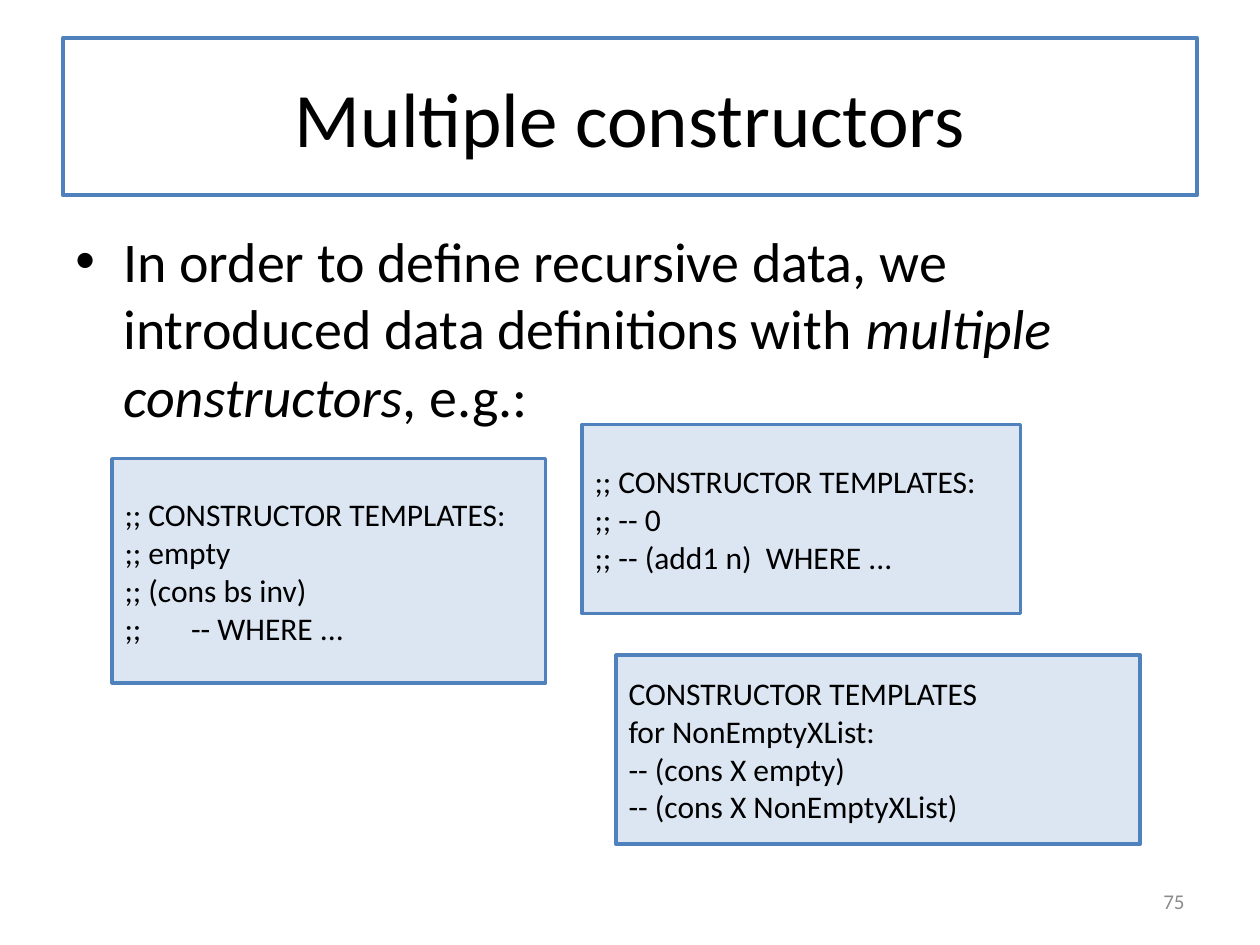
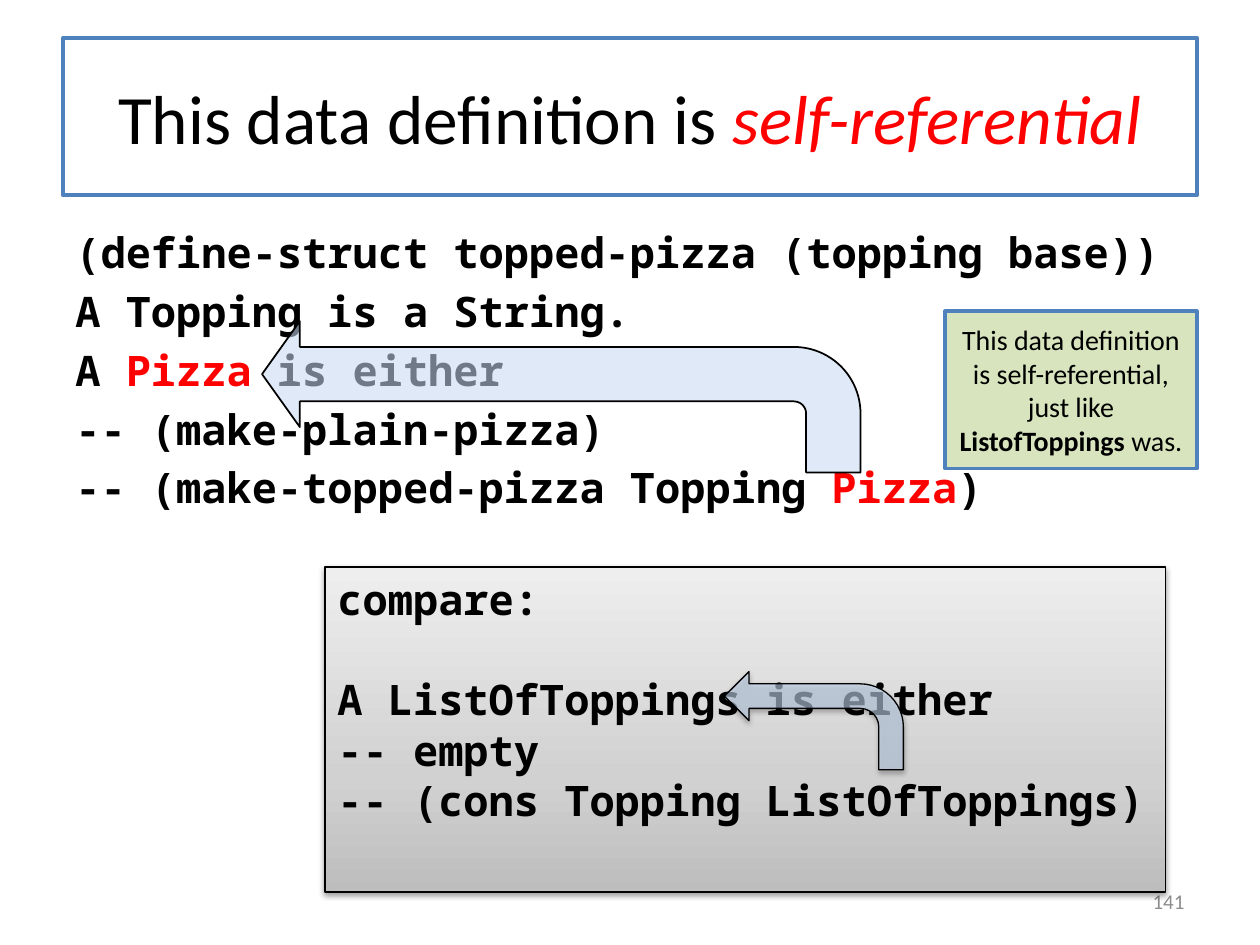
from dataclasses import dataclass
from typing import NamedTuple

from lxml import etree
from pptx import Presentation
from pptx.dml.color import RGBColor
from pptx.enum.shapes import MSO_SHAPE
from pptx.enum.text import MSO_ANCHOR, MSO_AUTO_SIZE, PP_ALIGN
from pptx.oxml.ns import qn
from pptx.util import Inches, Pt

LEFT, CENTER, RIGHT = PP_ALIGN.LEFT, PP_ALIGN.CENTER, PP_ALIGN.RIGHT
TOP, MIDDLE = MSO_ANCHOR.TOP, MSO_ANCHOR.MIDDLE
RECT, BENT_ARROW = MSO_SHAPE.RECTANGLE, MSO_SHAPE.BENT_ARROW
NO_AUTOFIT = MSO_AUTO_SIZE.NONE
TITLE_ONLY = 5


@dataclass(frozen=True)
class Theme:
    sans: str = "Calibri"
    mono: str = "Noto Sans Mono"
    white: str = "FFFFFF"
    text: str = "000000"
    accent: str = "FF0000"
    border: str = "4F81BD"
    muted: str = "8C8C8C"
    panel: str = "DCE6F2"
    note: str = "D7E4BD"
    arrow: str = "C6D9F1"
    gradient: tuple = ((0, "BDBDBD"), (35, "D1D1D1"), (100, "EEEEEE"))
    title_size: float = 44
    long_title_size: float = 39.6
    body_size: float = 32
    code_size: float = 24
    panel_size: float = 18
    note_size: float = 16
    number_size: float = 12


THEME = Theme()


class Box(NamedTuple):
    left: float
    top: float
    width: float
    height: float

    def emu(self) -> tuple:
        return tuple(Inches(v) for v in self)


class Span(NamedTuple):
    text: str
    color: str = THEME.text
    italic: bool = False
    bold: bool = False


@dataclass(frozen=True)
class Style:
    size: float
    font: str = THEME.sans
    bold: bool = False
    align: PP_ALIGN = LEFT
    anchor: MSO_ANCHOR = MIDDLE
    hanging: float = 0
    bullet: str = ""
    gap: float = 0


class Panel(NamedTuple):
    box: Box
    lines: list
    fill: str
    style: Style


class Arrow(NamedTuple):
    box: Box
    adjustments: tuple
    opacity: int
    line_width: float


TITLE_BOX = Box(0.5, 0.3, 9, 1.25)
BODY_BOX = Box(0.5, 1.75, 9, 4.95)
NUMBER_BOX = Box(7.17, 6.95, 2.33, 0.4)

NUMBER = Style(THEME.number_size, align=RIGHT)
BULLET = Style(THEME.body_size, anchor=TOP, hanging=0.38, bullet="•")
CODE = Style(THEME.code_size, THEME.mono, bold=True, anchor=TOP, hanging=0.38,
             gap=0.2 * THEME.code_size)
COMPARE = Style(THEME.code_size, THEME.mono, bold=True, anchor=TOP)
PANEL = Style(THEME.panel_size)
NOTE = Style(THEME.note_size, align=CENTER)


def rgb(color: str) -> RGBColor:
    return RGBColor.from_string(color)


def sub(parent, tag: str, **attrs):
    return etree.SubElement(parent, qn(tag), {k: str(v) for k, v in attrs.items()})


def write(shape, lines: list, style: Style) -> None:
    """Fill a shape with lines, each a plain string or a list of spans."""
    tf = shape.text_frame
    tf.word_wrap = True
    tf.auto_size = NO_AUTOFIT
    tf.vertical_anchor = style.anchor
    for i, line in enumerate(lines):
        p = tf.paragraphs[0] if i == 0 else tf.add_paragraph()
        p.alignment = style.align
        if i and style.gap:
            p.space_before = Pt(style.gap)
        if style.hanging:
            pPr = p._p.get_or_add_pPr()
            pPr.set("marL", str(Inches(style.hanging)))
            pPr.set("indent", str(-Inches(style.hanging)))
            if style.bullet:
                sub(pPr, "a:buFont", typeface="Arial")
                sub(pPr, "a:buChar", char=style.bullet)
        for span in [Span(line)] if isinstance(line, str) else line:
            r = p.add_run()
            r.text = span.text
            r.font.name = style.font
            r.font.size = Pt(style.size)
            r.font.bold = style.bold or span.bold
            r.font.italic = span.italic
            r.font.color.rgb = rgb(span.color)


def paint(shape, fill: str, line: str, width: float) -> None:
    shape.fill.solid()
    shape.fill.fore_color.rgb = rgb(fill)
    outline(shape, line, width)


def outline(shape, line: str, width: float) -> None:
    shape.line.color.rgb = rgb(line)
    shape.line.width = Pt(width)


def paint_gradient(shape) -> None:
    shape.fill.gradient()
    shape.fill.gradient_angle = 90
    stops = shape._element.spPr.find(qn("a:gradFill")).find(qn("a:gsLst"))
    stops.clear()
    for position, color in THEME.gradient:
        sub(sub(stops, "a:gs", pos=position * 1000), "a:srgbClr", val=color)


def drop_shadow(shape) -> None:
    effects = shape._element.spPr.find(qn("a:effectLst"))
    shadow = sub(effects, "a:outerShdw", blurRad=Pt(3.1), dist=Pt(1.6),
                 dir=90 * 60000, rotWithShape=0)
    sub(sub(shadow, "a:srgbClr", val=THEME.text), "a:alpha", val=38000)


def add_flat_shape(shapes, kind: MSO_SHAPE, box: Box):
    shape = shapes.add_shape(kind, *box.emu())
    shape.shadow.inherit = False
    return shape


def add_panel(shapes, panel: Panel) -> None:
    shape = add_flat_shape(shapes, RECT, panel.box)
    paint(shape, panel.fill, THEME.border, 2)
    write(shape, panel.lines, panel.style)


def add_arrow(shapes, arrow: Arrow):
    """Draw a bent arrow that points left."""
    shape = add_flat_shape(shapes, BENT_ARROW, arrow.box)
    for i, value in enumerate(arrow.adjustments):
        shape.adjustments[i] = value
    shape._element.spPr.find(qn("a:xfrm")).set("flipH", "1")
    paint(shape, THEME.arrow, THEME.text, arrow.line_width)
    color = shape._element.spPr.find(qn("a:solidFill"))[0]
    sub(color, "a:alpha", val=arrow.opacity * 1000)
    return shape


def add_text(s, box: Box, lines: list, style: Style) -> None:
    write(s.shapes.add_textbox(*box.emu()), lines, style)


def add_slide(prs, title: list, title_size: float, body: list, body_style: Style,
              number: str):
    """Add a slide with its framed title, body text and slide number."""
    s = prs.slides.add_slide(prs.slide_layouts[TITLE_ONLY])
    heading = s.shapes.title
    heading.left, heading.top, heading.width, heading.height = TITLE_BOX.emu()
    paint(heading, THEME.white, THEME.border, 2.25)
    write(heading, [title], Style(title_size, align=CENTER))
    add_text(s, BODY_BOX, body, body_style)
    add_text(s, NUMBER_BOX, [number], NUMBER)
    for run in s.shapes[-1].text_frame.paragraphs[0].runs:
        run.font.color.rgb = rgb(THEME.muted)
    return s


def build_constructors(prs) -> None:
    body = [[Span("In order to define recursive data, we introduced data definitions with "),
             Span("multiple constructors", italic=True), Span(", e.g.:")]]
    s = add_slide(prs, [Span("Multiple constructors")], THEME.title_size,
                  body, BULLET, "75")
    templates = [
        (Box(0.89, 3.64, 3.44, 1.78),
         [";; CONSTRUCTOR TEMPLATES:", ";; empty", ";; (cons bs inv)",
          ";;       -- WHERE ..."]),
        (Box(4.62, 3.37, 3.48, 1.5),
         [";; CONSTRUCTOR TEMPLATES:", ";; -- 0", ";; -- (add1 n)  WHERE ..."]),
        (Box(4.89, 5.2, 4.16, 1.5),
         ["CONSTRUCTOR TEMPLATES", "for NonEmptyXList:", "-- (cons X empty)",
          "-- (cons X NonEmptyXList)"]),
    ]
    for box, lines in templates:
        add_panel(s.shapes, Panel(box, lines, THEME.panel, PANEL))


def add_comparison(s) -> None:
    shapes = s.shapes.add_group_shape().shapes
    card = add_flat_shape(shapes, RECT, Box(2.58, 4.5, 6.67, 2.58))
    paint_gradient(card)
    outline(card, THEME.text, 0.75)
    drop_shadow(card)
    write(card, ["compare:", "A ListOfToppings is either", "-- empty",
                 "-- (cons Topping ListOfToppings)"], COMPARE)
    card.text_frame.paragraphs[1].space_before = Pt(28.6)
    drop_shadow(add_arrow(shapes, Arrow(Box(5.75, 5.33, 1.42, 0.78),
                                        (0.25, 0.25, 0.25, 0.44), 59, 0.75)))


def build_self_reference(prs) -> None:
    pizza = Span("Pizza", THEME.accent)
    title = [Span("This data definition is "),
             Span("self-referential", THEME.accent, italic=True)]
    body = ["(define-struct topped-pizza (topping base))",
            "A Topping is a String.",
            [Span("A "), pizza, Span(" is either")],
            "-- (make-plain-pizza)",
            [Span("-- (make-topped-pizza Topping "), pizza, Span(")")]]
    s = add_slide(prs, title, THEME.long_title_size, body, CODE, "141")
    add_arrow(s.shapes, Arrow(Box(2.08, 2.55, 4.75, 1.2), (0.36, 0.35, 0.25, 0.44), 56, 1))
    add_comparison(s)
    note = [[Span("This data definition is self-referential, just like "),
             Span("ListofToppings", bold=True), Span(" was.")]]
    add_panel(s.shapes, Panel(Box(7.5, 2.47, 2, 1.25), note, THEME.note, NOTE))


def main() -> None:
    prs = Presentation()
    prs.slide_width, prs.slide_height = Inches(10), Inches(7.5)
    build_constructors(prs)
    build_self_reference(prs)
    prs.save("out.pptx")


if __name__ == "__main__":
    main()
